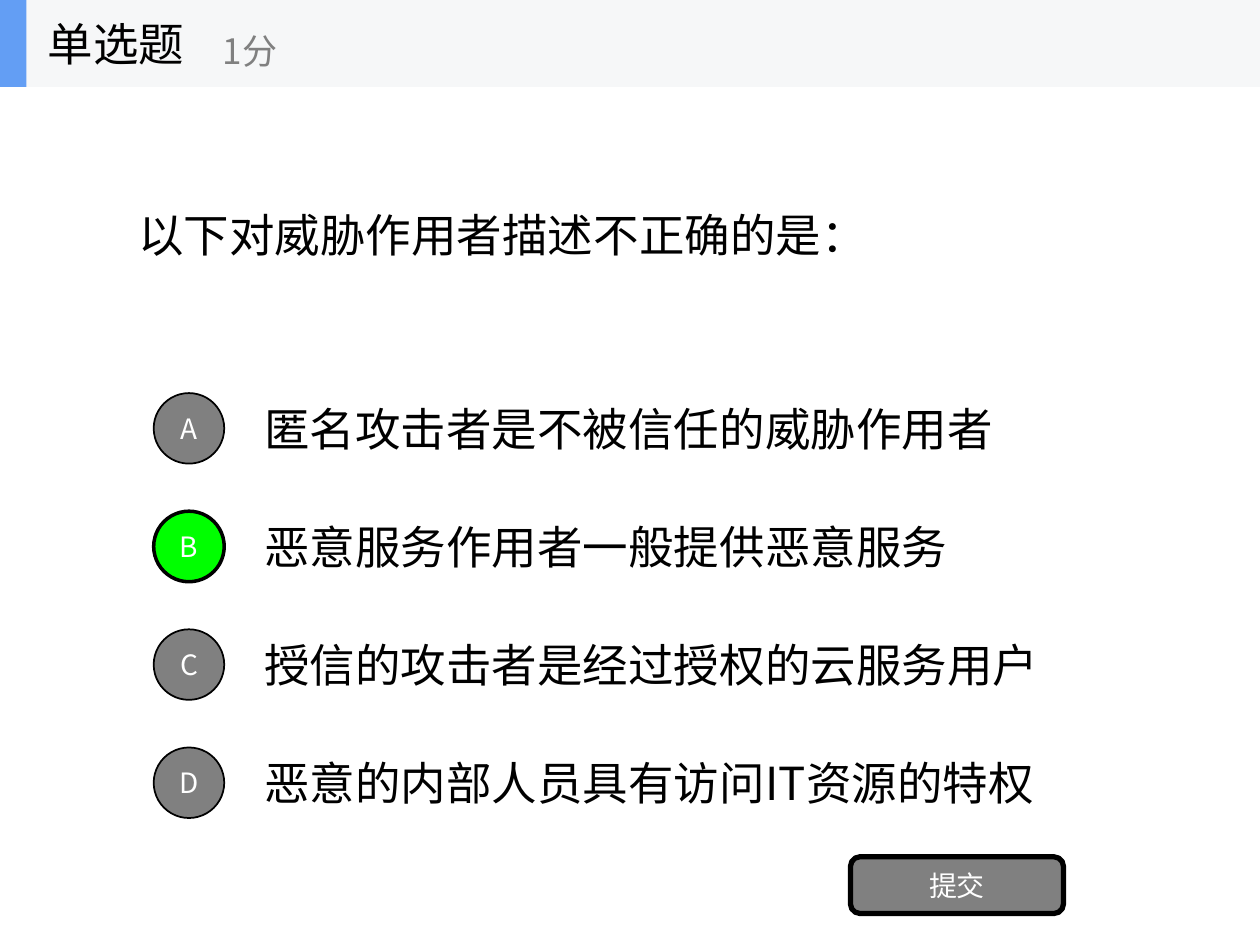
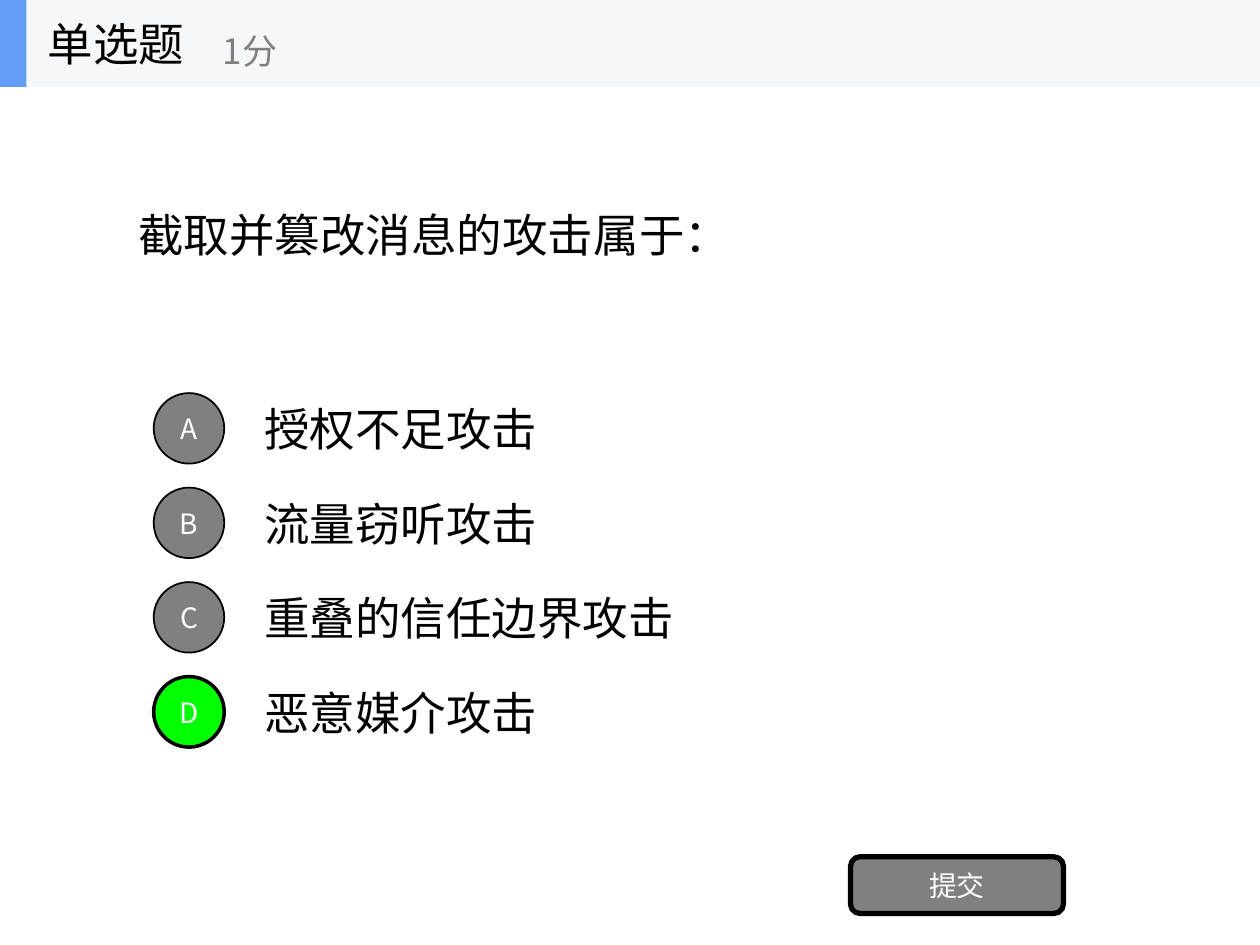
from lxml import etree
from pptx import Presentation
from pptx.dml.color import RGBColor
from pptx.enum.shapes import MSO_SHAPE
from pptx.enum.text import MSO_ANCHOR, PP_ALIGN
from pptx.oxml.ns import qn
from pptx.util import Inches, Pt

# Each quiz: question, choices, right answer, gap between choices
QUIZZES = [
    {
        "ask": "以下对威胁作用者描述不正确的是：",
        "picks": [
            "匿名攻击者是不被信任的威胁作用者",
            "恶意服务作用者一般提供恶意服务",
            "授信的攻击者是经过授权的云服务用户",
            "恶意的内部人员具有访问IT资源的特权",
        ],
        "right": "B",
        "step": 0.9375,
    },
    {
        "ask": "截取并篡改消息的攻击属于：",
        "picks": ["授权不足攻击", "流量窃听攻击", "重叠的信任边界攻击", "恶意媒介攻击"],
        "right": "D",
        "step": 0.75,
    },
]
KIND, SCORE, SUBMIT = "单选题", "1分", "提交"

FONT = "Noto Sans CJK SC"
BLACK = RGBColor(0x00, 0x00, 0x00)
WHITE = RGBColor(0xFF, 0xFF, 0xFF)
GRAY = RGBColor(0x80, 0x80, 0x80)
GREEN = RGBColor(0x00, 0xFF, 0x00)
BLUE = RGBColor(0x63, 0x9E, 0xF4)
PALE = RGBColor(0xF6, 0xF7, 0xF8)

RECT = MSO_SHAPE.RECTANGLE
ROUND = MSO_SHAPE.ROUNDED_RECTANGLE
OVAL = MSO_SHAPE.OVAL
MIDDLE = MSO_ANCHOR.MIDDLE
LEFT, CENTER = PP_ALIGN.LEFT, PP_ALIGN.CENTER

BAND = 0.69
TOP = 3.05
ROW = 0.7
DOT = 0.56


def write(shape, text, size=26, color=BLACK, align=LEFT, pad=0.1):
    frame = shape.text_frame
    frame.word_wrap = True
    frame.vertical_anchor = MIDDLE
    frame.margin_left = frame.margin_right = Inches(pad)
    para = frame.paragraphs[0]
    para.alignment = align
    run = para.add_run()
    run.text = text
    run.font.size = Pt(size)
    run.font.name = FONT
    run.font.color.rgb = color
    # Chinese glyphs take the East Asian typeface
    etree.SubElement(run.font._element, qn("a:ea"), typeface=FONT)


def label(shapes, box, text, **style):
    write(shapes.add_textbox(*map(Inches, box)), text, **style)


def block(shapes, kind, box, fill, line=0):
    """Add a filled shape; a line width of 0 means no outline."""
    shape = shapes.add_shape(kind, *map(Inches, box))
    shape.shadow.inherit = False
    shape.fill.solid()
    shape.fill.fore_color.rgb = fill
    if line:
        shape.line.color.rgb = BLACK
        shape.line.width = Pt(line)
    else:
        shape.line.fill.background()
    return shape


def button(shapes, kind, box, text, fill, line):
    shape = block(shapes, kind, box, fill, line)
    write(shape, text, size=16, color=WHITE, align=CENTER, pad=0)


def header(slide):
    shapes = slide.shapes.add_group_shape().shapes
    block(shapes, RECT, (0, 0, 10, BAND), PALE)
    block(shapes, RECT, (0, 0, 0.21, BAND), BLUE)
    label(shapes, (0.28, 0, 2.08, BAND), KIND)
    label(shapes, (1.67, 0.12, 2.5, 0.56), SCORE, size=20, color=GRAY)


def choices(shapes, quiz):
    for row, (mark, text) in enumerate(zip("ABCD", quiz["picks"])):
        top = TOP + row * quiz["step"]
        label(shapes, (2, top, 7, ROW), text)
        fill, line = (GREEN, 2) if mark == quiz["right"] else (GRAY, 1)
        box = (1.22, top + (ROW - DOT) / 2, DOT, DOT)
        button(shapes, OVAL, box, mark, fill, line)


def main():
    deck = Presentation()
    deck.slide_width, deck.slide_height = Inches(10), Inches(7.5)
    for quiz in QUIZZES:
        slide = deck.slides.add_slide(deck.slide_layouts[6])
        label(slide.shapes, (1, BAND, 8, 2.34), quiz["ask"])
        choices(slide.shapes, quiz)
        button(slide.shapes, ROUND, (6.75, 6.8, 1.69, 0.45), SUBMIT, GRAY, 3)
        header(slide)
    deck.save("out.pptx")


if __name__ == "__main__":
    main()
